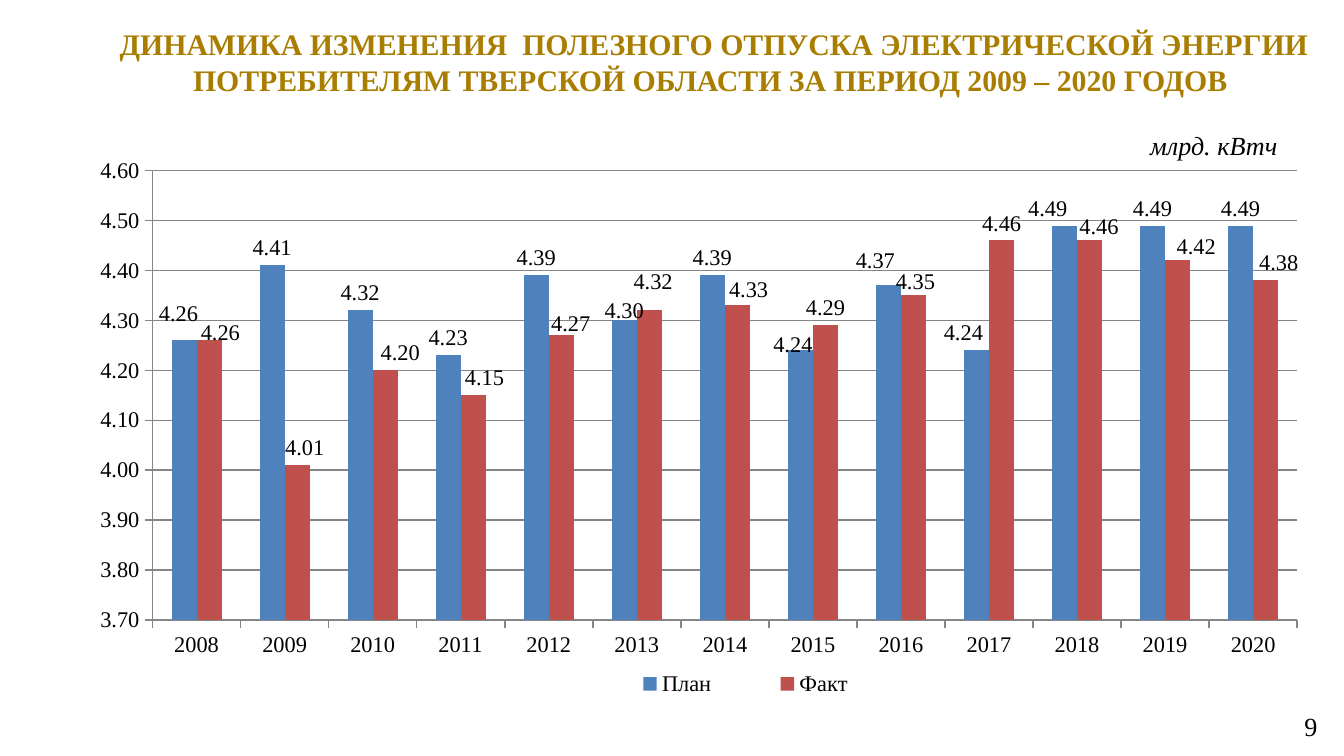
"""Build the slide on electricity supply, plan against fact, 2008 to 2020."""
from lxml.etree import SubElement
from pptx import Presentation
from pptx.chart.data import CategoryChartData
from pptx.dml.color import RGBColor
from pptx.enum.chart import XL_CHART_TYPE, XL_LABEL_POSITION, XL_LEGEND_POSITION, XL_TICK_MARK
from pptx.enum.text import MSO_ANCHOR, PP_ALIGN
from pptx.oxml import parse_xml
from pptx.oxml.ns import nsdecls, qn
from pptx.util import Inches, Pt

SLIDE = (10, 10 * 9 / 16)
THEME = {
    "font": "Times New Roman", "chart_font": "Calibri",
    "title": "A87D00", "text": "000000", "line": "868686",
    "title_size": 16, "note_size": 14, "chart_size": 18, "label_size": 12, "line_width": 0.75,
}

# Areas are left, top, width and height in percent of the slide or of the chart.
TEXTS = [
    {"text": "ДИНАМИКА ИЗМЕНЕНИЯ  ПОЛЕЗНОГО ОТПУСКА ЭЛЕКТРИЧЕСКОЙ ЭНЕРГИИ "
             "ПОТРЕБИТЕЛЯМ ТВЕРСКОЙ ОБЛАСТИ ЗА ПЕРИОД 2009 – 2020 ГОДОВ ",
     "area": (7.5, 2.5, 91.3, 11.38), "align": PP_ALIGN.CENTER, "anchor": MSO_ANCHOR.TOP,
     "size": "title_size", "color": "title", "bold": True, "italic": False},
    {"text": "млрд. кВтч",
     "area": (84.6, 16.24, 12.6, 6.04), "align": PP_ALIGN.LEFT, "anchor": MSO_ANCHOR.TOP,
     "size": "note_size", "color": "text", "bold": False, "italic": True},
    {"text": "9",
     "area": (94.9, 93.33, 4.1, 5.33), "align": PP_ALIGN.RIGHT, "anchor": MSO_ANCHOR.MIDDLE,
     "size": "note_size", "color": "text", "bold": False, "italic": False},
]
CHART_AREA = (6.65, 19.78, 90.6, 73.6)
PLOT_AREA = (5.2, 3.8, 94, 80.8)
LEGEND_AREA = (40.4, 92.3, 27, 7.5)
YEARS = range(2008, 2021)
SERIES = [
    {"name": "План", "color": "4F81BD",
     "values": (4.26, 4.41, 4.32, 4.23, 4.39, 4.30, 4.39, 4.24, 4.37, 4.24, 4.49, 4.49, 4.49),
     "shifts": {2008: (-3, -5), 2013: (0, 4), 2015: (-4, 6), 2016: (-7, -4),
                2017: (-7, 0), 2018: (-9, 0)}},
    {"name": "Факт", "color": "C0504D",
     "values": (4.26, 4.01, 4.20, 4.15, 4.27, 4.32, 4.33, 4.29, 4.35, 4.46, 4.46, 4.42, 4.38),
     "shifts": {2008: (6, 5), 2009: (4, 0), 2010: (8, 0), 2011: (6, 0), 2012: (5, 3),
                2013: (2, -6), 2014: (6, 1), 2016: (1, 2), 2018: (5, 2),
                2019: (10, 2), 2020: (7, 0)}},
]


def place(area):
    return [Inches(share * SLIDE[index % 2] / 100) for index, share in enumerate(area)]


def style(font, size, face="font", color="text"):
    font.name = THEME[face]
    font.size = Pt(THEME[size])
    font.color.rgb = RGBColor.from_string(THEME[color])


def add_text(page, item):
    box = page.shapes.add_textbox(*place(item["area"]))
    frame = box.text_frame
    frame.word_wrap = True
    frame.vertical_anchor = item["anchor"]
    para = frame.paragraphs[0]
    para.alignment = item["align"]
    span = para.add_run()
    span.text = item["text"]
    style(span.font, item["size"], color=item["color"])
    span.font.bold, span.font.italic = item["bold"], item["italic"]


def set_layout(parent, index, settings):
    for old in parent.findall(qn("c:layout")):
        parent.remove(old)
    layout = parse_xml(f"<c:layout {nsdecls('c')}><c:manualLayout/></c:layout>")
    for name, value in settings.items():
        SubElement(layout[0], qn(f"c:{name}")).set("val", str(value))
    parent.insert(index, layout)


def edges(area):
    shares = {name: value / 100 for name, value in zip("xywh", area)}
    return {"xMode": "edge", "yMode": "edge", **shares}


def style_line(line):
    line.color.rgb = RGBColor.from_string(THEME["line"])
    line.width = Pt(THEME["line_width"])


def style_axis(axis):
    axis.major_tick_mark = XL_TICK_MARK.OUTSIDE
    axis.minor_tick_mark = XL_TICK_MARK.NONE
    style_line(axis.format.line)
    style(axis.tick_labels.font, "label_size")


def style_series(series, item, chart_size):
    series.format.fill.solid()
    series.format.fill.fore_color.rgb = RGBColor.from_string(item["color"])
    labels = series.data_labels
    labels.show_value = True
    labels.position = XL_LABEL_POSITION.OUTSIDE_END
    style(labels.font, "label_size")
    for leader in labels._element.findall(qn("c:showLeaderLines")):
        leader.set("val", "0")
    for year in item["shifts"]:
        label = series.points[YEARS.index(year)].data_label
        label.position = XL_LABEL_POSITION.OUTSIDE_END
        style(label.font, "label_size")
    for node, shift in zip(labels._element.findall(qn("c:dLbl")), item["shifts"].values()):
        shares = [Pt(move) / length for move, length in zip(shift, chart_size)]
        set_layout(node, 1, dict(zip("xy", shares)))


def add_supply_chart(page):
    data = CategoryChartData(number_format="#,##0.00")
    data.categories = [str(year) for year in YEARS]
    for item in SERIES:
        data.add_series(item["name"], item["values"])
    area = place(CHART_AREA)
    chart = page.shapes.add_chart(XL_CHART_TYPE.COLUMN_CLUSTERED, *area, data).chart
    chart.has_title = False
    style(chart.font, "chart_size", face="chart_font")

    plot = chart.plots[0]
    plot.gap_width, plot.overlap, plot.vary_by_categories = 150, 0, False
    for series, item in zip(plot.series, SERIES):
        style_series(series, item, area[2:])

    style_axis(chart.category_axis)
    scale = chart.value_axis
    style_axis(scale)
    scale.minimum_scale, scale.maximum_scale, scale.major_unit = 3.7, 4.6, 0.1
    scale.tick_labels.number_format = "#,##0.00"
    scale.tick_labels.number_format_is_linked = False
    style_line(scale.major_gridlines.format.line)

    chart.has_legend = True
    legend = chart.legend
    legend.position = XL_LEGEND_POSITION.RIGHT
    legend.include_in_layout = False
    style(legend.font, "label_size")
    set_layout(legend._element, 1, edges(LEGEND_AREA))
    plot_area = plot._element.getparent()
    set_layout(plot_area, 0, {"layoutTarget": "inner", **edges(PLOT_AREA)})


def main():
    deck = Presentation()
    deck.slide_width, deck.slide_height = map(Inches, SLIDE)
    page = deck.slides.add_slide(deck.slide_layouts[6])
    add_supply_chart(page)
    for item in TEXTS:
        add_text(page, item)
    deck.save("out.pptx")


if __name__ == "__main__":
    main()
